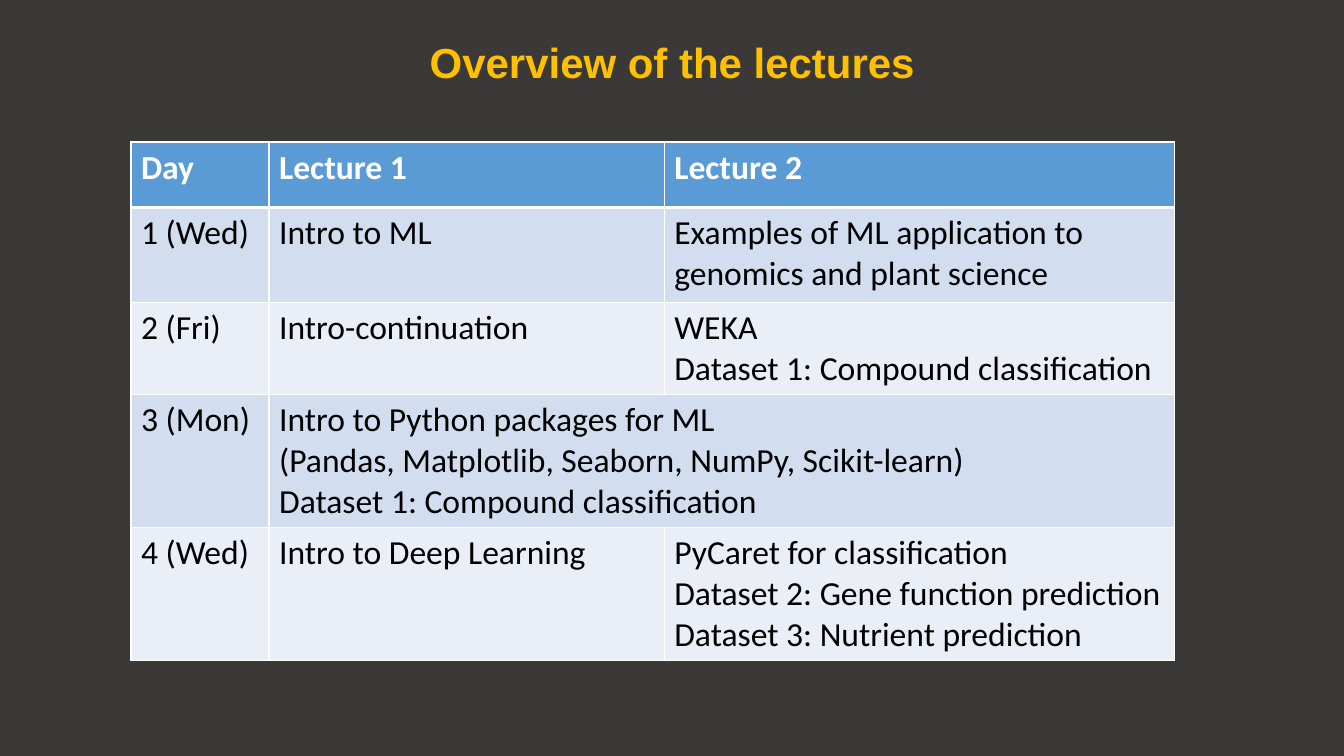
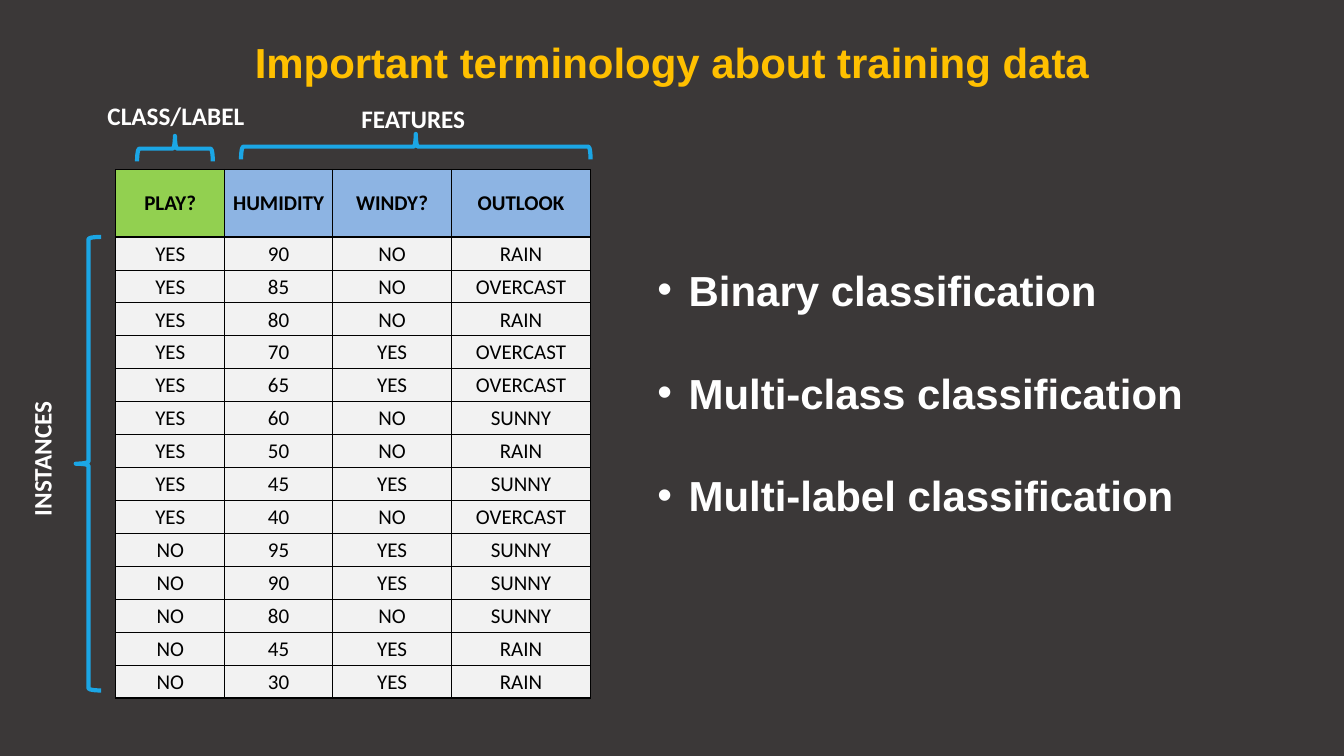
from lxml import etree
from pptx import Presentation
from pptx.dml.color import RGBColor
from pptx.enum.shapes import MSO_SHAPE
from pptx.enum.text import MSO_ANCHOR, MSO_AUTO_SIZE, PP_ALIGN
from pptx.oxml.ns import qn
from pptx.util import Cm, Pt

LEFT, CENTER = PP_ALIGN.LEFT, PP_ALIGN.CENTER
TOP, MIDDLE = MSO_ANCHOR.TOP, MSO_ANCHOR.MIDDLE
NO_FIT = MSO_AUTO_SIZE.NONE
R_BRACE, L_BRACE = MSO_SHAPE.RIGHT_BRACE, MSO_SHAPE.LEFT_BRACE

DARK = RGBColor(0x3B, 0x38, 0x38)
GOLD = RGBColor(0xFF, 0xC0, 0x00)
WHITE = RGBColor(0xFF, 0xFF, 0xFF)
BLACK = RGBColor(0x00, 0x00, 0x00)
BLUE = RGBColor(0x5B, 0x9B, 0xD5)
BANDS = [RGBColor(0xD2, 0xDE, 0xEF), RGBColor(0xEA, 0xEF, 0xF7)]
GREEN = RGBColor(0x92, 0xD0, 0x50)
SKY = RGBColor(0x8D, 0xB4, 0xE3)
PALE = RGBColor(0xF2, 0xF2, 0xF2)
CYAN = RGBColor(0x1B, 0xA6, 0xE5)

# Content: None joins a cell to the one on its left
PLAN = [
    ("Day", "Lecture 1", "Lecture 2"),
    ("1 (Wed)", "Intro to ML",
     "Examples of ML application to genomics and plant science"),
    ("2 (Fri)", "Intro-continuation",
     "WEKA\nDataset 1: Compound classification"),
    ("3 (Mon)", "Intro to Python packages for ML\n"
     "(Pandas, Matplotlib, Seaborn, NumPy, Scikit-learn)\n"
     "Dataset 1: Compound classification", None),
    ("4 (Wed)", "Intro to Deep Learning",
     "PyCaret for classification\nDataset 2: Gene function prediction\n"
     "Dataset 3: Nutrient prediction"),
]
DATA = [
    ("PLAY?", "HUMIDITY", "WINDY?", "OUTLOOK"),
    ("YES", "90", "NO", "RAIN"),
    ("YES", "85", "NO", "OVERCAST"),
    ("YES", "80", "NO", "RAIN"),
    ("YES", "70", "YES", "OVERCAST"),
    ("YES", "65", "YES", "OVERCAST"),
    ("YES", "60", "NO", "SUNNY"),
    ("YES", "50", "NO", "RAIN"),
    ("YES", "45", "YES", "SUNNY"),
    ("YES", "40", "NO", "OVERCAST"),
    ("NO", "95", "YES", "SUNNY"),
    ("NO", "90", "YES", "SUNNY"),
    ("NO", "80", "NO", "SUNNY"),
    ("NO", "45", "YES", "RAIN"),
    ("NO", "30", "YES", "RAIN"),
]
KINDS = ["Binary classification", "Multi-class classification",
         "Multi-label classification"]

# Left, top, width, height in cm, then the turn in degrees
BRACES = [
    (R_BRACE, (4.09, 2.79, 0.64, 1.91), 270),
    (R_BRACE, (10.16, -0.71, 0.64, 8.81), 270),
    (L_BRACE, (1.91, 5.97, 0.64, 11.43), 0),
]
LABELS = [
    ("CLASS/LABEL", (2.44, 2.41, 3.99, 1.02), 0),
    ("FEATURES", (8.84, 2.49, 3.15, 1.02), 0),
    ("INSTANCES", (-0.66, 11.05, 3.43, 1.02), 270),
]


def place(shape, box):
    shape.left, shape.top, shape.width, shape.height = map(Cm, box)


def style(para, name, size, color, bold=True, align=LEFT):
    para.alignment = align
    font = para.font
    font.name, font.size, font.bold = name, Pt(size), bold
    font.color.rgb = color


def add_slide(prs, layout, title):
    slide = prs.slides.add_slide(prs.slide_layouts[layout])
    head = slide.shapes.title
    place(head, (2.34, 0.84, 29.21, 1.57))
    frame = head.text_frame
    frame.text = title
    frame.auto_size, frame.vertical_anchor = NO_FIT, MIDDLE
    para = frame.paragraphs[0]
    para.line_spacing = 0.9
    style(para, "Arial", 30, GOLD, align=CENTER)
    return slide


def set_edges(cell, color, widths):
    props = cell._tc.get_or_add_tcPr()
    for side, width in zip("LTRB", widths):
        # The schema wants the order left, right, top, bottom
        line = etree.Element(qn("a:ln" + side), w=str(Pt(width)))
        fill = etree.SubElement(line, qn("a:solidFill"))
        etree.SubElement(fill, qn("a:srgbClr"), val=str(color))
        props.insert(1 if side == "R" else len(props), line)


def add_grid(slide, rows, spot, cols, heights, look):
    box = (*spot, sum(cols), sum(heights))
    table = slide.shapes.add_table(len(rows), len(cols), *map(Cm, box)).table
    table.first_row = table.horz_banding = False
    for col, width in zip(table.columns, cols):
        col.width = Cm(width)
    for row, height in zip(table.rows, heights):
        row.height = Cm(height)
    for r, row in enumerate(rows):
        for c, text in enumerate(row):
            cell = table.cell(r, c)
            fill, edge, widths = look(r, c)
            set_edges(cell, edge, widths)
            cell.fill.solid()
            cell.fill.fore_color.rgb = fill
            if text is None:
                table.cell(r, c - 1).merge(cell)
            else:
                cell.text = text
                yield r, cell


def plan_look(r, c):
    fill = BANDS[(r - 1) % 2] if r else BLUE
    return fill, WHITE, (1, 3 if r == 1 else 1, 1, 1 if r else 3)


def data_look(r, c):
    fill = PALE if r else (SKY if c else GREEN)
    last = len(DATA) - 1, len(DATA[0]) - 1
    thick = (c <= 1, r <= 1, c in (0, last[1]), r in (0, last[0]))
    return fill, BLACK, [1 if t else 0.5 for t in thick]


def add_plan(slide):
    cells = add_grid(slide, PLAN, (3.3, 3.58), (3.48, 9.96, 12.85),
                     (1.65, 2.39, 2.32, 3.35, 3.35), plan_look)
    for r, cell in cells:
        cell.vertical_anchor = TOP
        for para in cell.text_frame.paragraphs:
            style(para, "Calibri", 24, BLACK if r else WHITE, r == 0)


def add_data(slide):
    heights = [1.7] + [0.83] * (len(DATA) - 1)
    cells = add_grid(slide, DATA, (2.92, 4.27), (2.74, 2.72, 3, 3.5),
                     heights, data_look)
    for r, cell in cells:
        cell.vertical_anchor = MIDDLE
        cell.margin_left = cell.margin_right = cell.margin_top = Cm(0.03)
        cell.margin_bottom = 0
        style(cell.text_frame.paragraphs[0], "Calibri", 15, BLACK, r == 0,
              CENTER)


def add_marks(slide):
    for kind, box, turn in BRACES:
        brace = slide.shapes.add_shape(kind, *map(Cm, box))
        brace.rotation = turn
        brace.shadow.inherit = False
        brace.fill.background()
        brace.line.color.rgb, brace.line.width = CYAN, Pt(3)
    for text, box, turn in LABELS:
        label = slide.shapes.add_textbox(*map(Cm, box))
        label.rotation = turn
        label.text_frame.text = text
        label.text_frame.word_wrap = False
        style(label.text_frame.paragraphs[0], "Calibri", 18, WHITE,
              align=CENTER)


def add_list(slide):
    body = slide.placeholders[1]
    place(body, (16.31, 6.53, 15.24, 6.68))
    frame = body.text_frame
    frame.text = "\n".join(KINDS)
    frame.auto_size, frame.vertical_anchor = NO_FIT, TOP
    for i, para in enumerate(frame.paragraphs):
        props = para._p.get_or_add_pPr()
        props.set("marL", str(Cm(0.79)))
        props.set("indent", str(-Cm(0.79)))
        etree.SubElement(props, qn("a:buChar"), char="•")
        para.space_before = Pt(37.5 if i else 0)
        style(para, "Arial", 30, WHITE)


def main():
    prs = Presentation()
    prs.slide_width, prs.slide_height = Cm(33.87), Cm(19.05)
    back = prs.slide_master.background.fill
    back.solid()
    back.fore_color.rgb = DARK

    # Lecture plan
    add_plan(add_slide(prs, 5, "Overview of the lectures"))

    # Training data
    slide = add_slide(prs, 1, "Important terminology about training data")
    add_data(slide)
    add_marks(slide)
    add_list(slide)
    prs.save("out.pptx")


if __name__ == "__main__":
    main()
